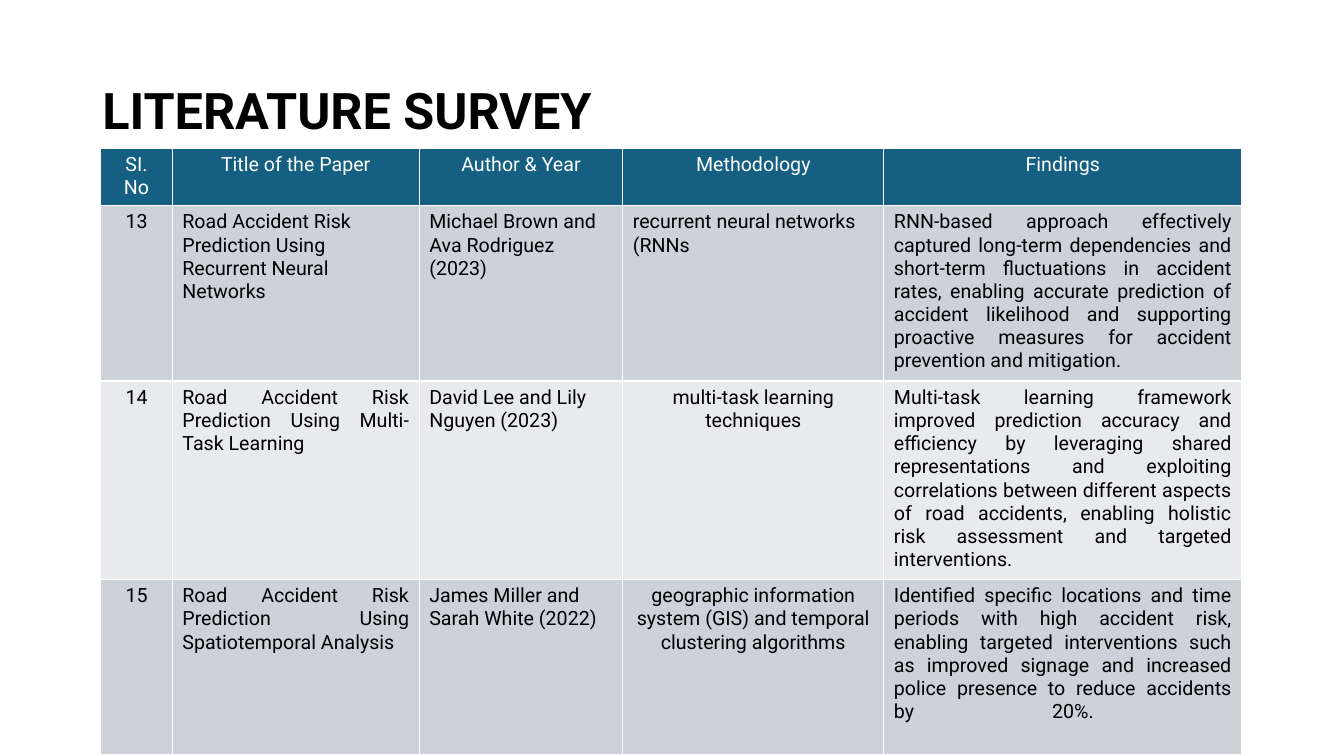
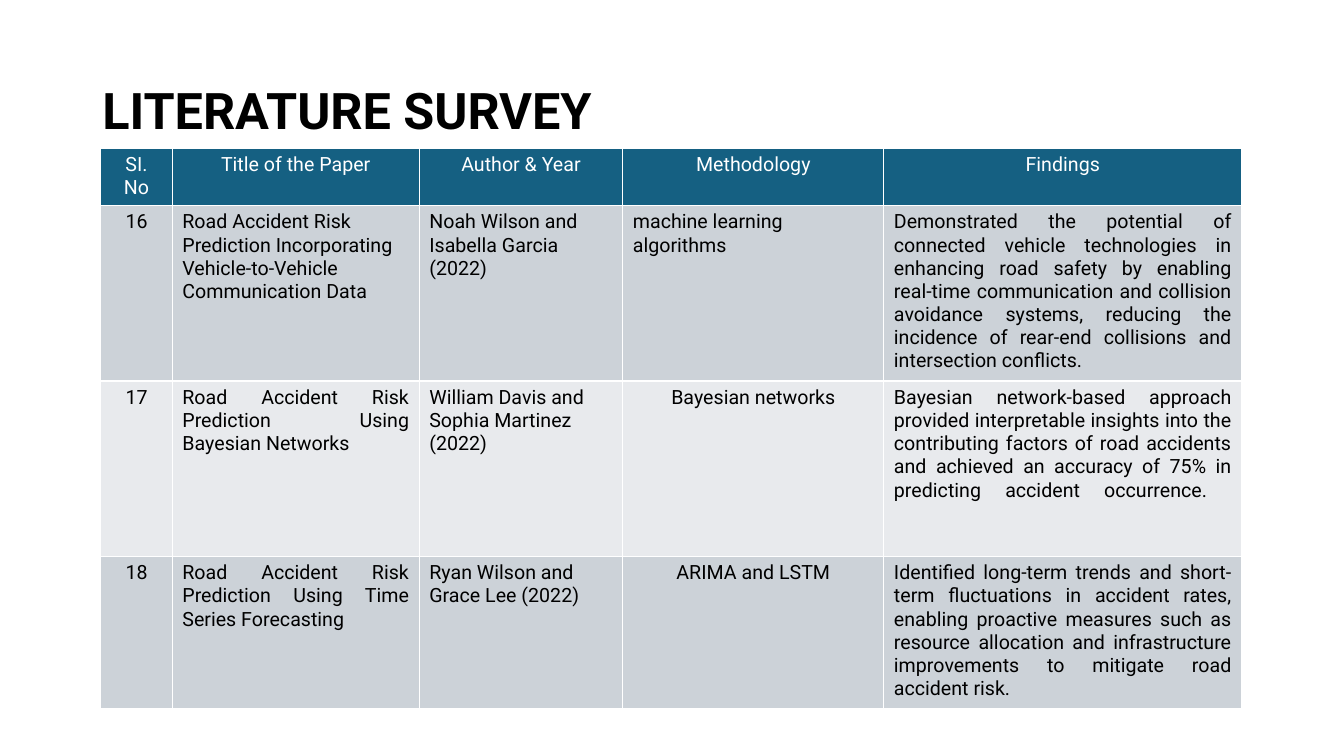
from copy import deepcopy
from dataclasses import dataclass

from lxml.etree import SubElement
from pptx import Presentation
from pptx.dml.color import RGBColor
from pptx.enum.text import MSO_ANCHOR as Anchor, PP_ALIGN as Align
from pptx.oxml.ns import qn
from pptx.util import Pt

BLACK = RGBColor(0x00, 0x00, 0x00)
WHITE = RGBColor(0xFF, 0xFF, 0xFF)
HEADER_FILL = RGBColor(0x15, 0x60, 0x82)
BAND_FILLS = (RGBColor(0xCC, 0xD2, 0xD8), RGBColor(0xE8, 0xEA, 0xED))
FONT = "Roboto"

TITLE = "LITERATURE SURVEY"
HEADERS = ("SI. No", "Title of the Paper", "Author & Year", "Methodology", "Findings")
COL_WIDTHS = (51.1, 176.4, 145.4, 186.5, 255.6)
ROW_HEIGHTS = (31, 125.3, 125.3, 108.7)
HEADER_ALIGNS = (Align.CENTER,) * len(HEADERS)
FIRST_ALIGNS = (Align.CENTER, Align.LEFT, Align.LEFT, Align.LEFT, Align.JUSTIFY)
OTHER_ALIGNS = (Align.CENTER, Align.JUSTIFY, Align.LEFT, Align.CENTER, Align.JUSTIFY)


@dataclass(frozen=True)
class Paper:
    title: str
    authors: str
    methodology: str
    findings: str


FIRST_NUMBER = 13
PAPERS_PER_SLIDE = 3
PAPERS = (
    Paper(
        "Road Accident Risk Prediction Using Recurrent Neural Networks",
        "Michael Brown and Ava Rodriguez (2023)",
        "recurrent neural networks (RNNs",
        "RNN-based approach effectively captured long-term dependencies and short-term "
        "fluctuations in accident rates, enabling accurate prediction of accident likelihood "
        "and supporting proactive measures for accident prevention and mitigation.",
    ),
    Paper(
        "Road Accident Risk Prediction Using Multi-Task Learning",
        "David Lee and Lily Nguyen (2023)",
        "multi-task learning techniques",
        "Multi-task learning framework improved prediction accuracy and efficiency by "
        "leveraging shared representations and exploiting correlations between different "
        "aspects of road accidents, enabling holistic risk assessment and targeted "
        "interventions.",
    ),
    Paper(
        "Road Accident Risk Prediction Using Spatiotemporal Analysis",
        "James Miller and Sarah White (2022)",
        "geographic information system (GIS) and temporal clustering algorithms",
        "Identified specific locations and time periods with high accident risk, enabling "
        "targeted interventions such as improved signage and increased police presence to "
        "reduce accidents by 20%. \n",
    ),
    Paper(
        "Road Accident Risk Prediction Incorporating Vehicle-to-Vehicle Communication Data",
        "Noah Wilson and Isabella Garcia (2022)",
        "machine learning algorithms",
        "Demonstrated the potential of connected vehicle technologies in enhancing road "
        "safety by enabling real-time communication and collision avoidance systems, reducing "
        "the incidence of rear-end collisions and intersection conflicts.",
    ),
    Paper(
        "Road Accident Risk Prediction Using Bayesian Networks",
        "William Davis and Sophia Martinez (2022)",
        "Bayesian networks",
        "Bayesian network-based approach provided interpretable insights into the "
        "contributing factors of road accidents and achieved an accuracy of 75% in predicting "
        "accident occurrence. \n",
    ),
    Paper(
        "Road Accident Risk Prediction Using Time Series Forecasting",
        "Ryan Wilson and Grace Lee (2022)",
        "ARIMA and LSTM",
        "Identified long-term trends and short-term fluctuations in accident rates, enabling "
        "proactive measures such as resource allocation and infrastructure improvements to "
        "mitigate road accident risk.",
    ),
)


def write_text(tf, text: str, *, size: float = 14, color: RGBColor = BLACK,
               bold: bool = False, align=Align.LEFT, line_spacing: float | None = None) -> None:
    """Fill the first paragraph; a closing newline becomes a line break."""
    p = tf.paragraphs[0]
    p.alignment = align
    p.line_spacing = line_spacing
    r = p.add_run()
    r.text = text.removesuffix("\n")
    r.font.name, r.font.size, r.font.bold = FONT, Pt(size), bold
    r.font.color.rgb = color
    if text.endswith("\n"):
        p.add_line_break()
        end = SubElement(p._p, qn("a:endParaRPr"), sz=str(int(size * 100)))
        end.extend(deepcopy(child) for child in r.font._element)


def add_title(slide) -> None:
    s = slide.shapes.add_textbox(Pt(66), Pt(28.8), Pt(828), Pt(104.4))
    tf = s.text_frame
    tf.word_wrap = True
    tf.vertical_anchor = Anchor.MIDDLE
    write_text(tf, TITLE, size=36, bold=True, line_spacing=0.9)


def fill_row(row, texts: tuple[str, ...], aligns: tuple, fill: RGBColor, color: RGBColor) -> None:
    for cell, text, align in zip(row.cells, texts, aligns):
        cell.fill.solid()
        cell.fill.fore_color.rgb = fill
        write_text(cell.text_frame, text, color=color, align=align)


def add_paper_table(slide, papers: tuple[Paper, ...], first_number: int) -> None:
    table = slide.shapes.add_table(
        len(papers) + 1, len(HEADERS), Pt(72), Pt(106),
        Pt(sum(COL_WIDTHS)), Pt(sum(ROW_HEIGHTS))).table
    for column, width in zip(table.columns, COL_WIDTHS):
        column.width = Pt(width)
    for row, height in zip(table.rows, ROW_HEIGHTS):
        row.height = Pt(height)

    fill_row(table.rows[0], HEADERS, HEADER_ALIGNS, HEADER_FILL, WHITE)
    for i, paper in enumerate(papers):
        texts = (str(first_number + i), paper.title, paper.authors,
                 paper.methodology, paper.findings)
        aligns = OTHER_ALIGNS if i else FIRST_ALIGNS
        fill_row(table.rows[i + 1], texts, aligns, BAND_FILLS[i % 2], BLACK)


def main() -> None:
    prs = Presentation()
    prs.slide_width, prs.slide_height = Pt(960), Pt(540)
    blank = prs.slide_layouts[6]
    for start in range(0, len(PAPERS), PAPERS_PER_SLIDE):
        slide = prs.slides.add_slide(blank)
        add_title(slide)
        add_paper_table(slide, PAPERS[start:start + PAPERS_PER_SLIDE], FIRST_NUMBER + start)
    prs.save("out.pptx")


if __name__ == "__main__":
    main()
